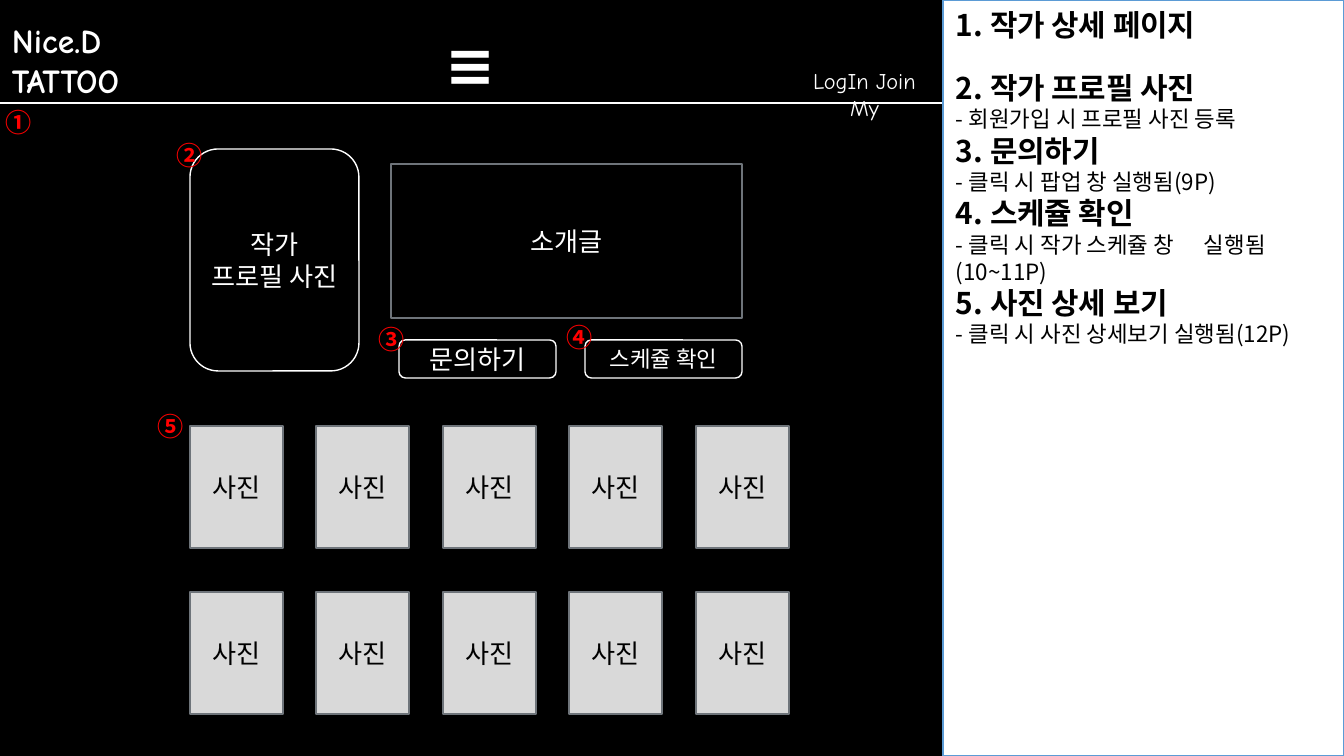
from dataclasses import dataclass
from lxml import etree
from pptx import Presentation
from pptx.dml.color import RGBColor
from pptx.enum.shapes import MSO_CONNECTOR, MSO_SHAPE
from pptx.enum.text import MSO_ANCHOR, PP_ALIGN
from pptx.oxml.ns import qn
from pptx.util import Emu, Pt

RECT, ROUND = MSO_SHAPE.RECTANGLE, MSO_SHAPE.ROUNDED_RECTANGLE
STRAIGHT = MSO_CONNECTOR.STRAIGHT
TOP, MIDDLE = MSO_ANCHOR.TOP, MSO_ANCHOR.MIDDLE
LEFT, CENTER = PP_ALIGN.LEFT, PP_ALIGN.CENTER
SCALE = 914400 / 134.4


@dataclass(frozen=True)
class Theme:
    black: str = "000000"
    white: str = "FFFFFF"
    red: str = "FF0000"
    photo: str = "D9D9D9"
    edge: str = "6E747A"
    frame: str = "5B9BD5"
    sans: str = "Noto Sans CJK KR"
    comic: str = "Comic Neue"
    small: int = 12
    base: int = 14
    head: int = 16
    brand: int = 18
    icon: int = 32
    lead: float = 1.2


T = Theme()
NOTES = [
    ("작가 상세 페이지", None),
    ("작가 프로필 사진", "회원가입 시 프로필 사진 등록"),
    ("문의하기", "클릭 시 팝업 창 실행됨(9P)"),
    ("스케쥴 확인", "클릭 시 작가 스케쥴 창\t실행됨(10~11P)"),
    ("사진 상세 보기", "클릭 시 사진 상세보기 실행됨(12P)"),
]


def px(n):
    return Emu(round(n * SCALE))


def rgb(color):
    return RGBColor.from_string(color)


def style(para, size=T.base, color=T.white, face=T.sans, bold=False,
          align=CENTER, before=0):
    para.alignment = align
    para.line_spacing = Pt(round(size * T.lead, 1))
    para.space_before = Pt(before)
    for run in para.runs:
        font = run.font
        font.size, font.bold, font.name = Pt(size), bold, face
        font.color.rgb = rgb(color)
        east = etree.Element(qn("a:ea"), typeface=face)
        font._element.find(qn("a:latin")).addnext(east)


def write(shape, text, anchor=TOP, inset=(13, 7), **form):
    """Fill a shape with one paragraph per line of text; inset is (x, y)."""
    frame = shape.text_frame
    frame.word_wrap = True
    frame.vertical_anchor = anchor
    frame.margin_left = frame.margin_right = px(inset[0])
    frame.margin_top = frame.margin_bottom = px(inset[1])
    frame.text = text
    for para in frame.paragraphs:
        style(para, **form)
    return frame


def label(slide, box, text, **form):
    return write(slide.shapes.add_textbox(*map(px, box)), text, **form)


def panel(slide, box, kind=RECT, fill=T.black, line=T.white, width=0.75):
    shape = slide.shapes.add_shape(kind, *map(px, box))
    shape.shadow.inherit = False
    shape.fill.solid()
    shape.fill.fore_color.rgb = rgb(fill)
    shape.line.color.rgb = rgb(line)
    shape.line.width = Pt(width)
    return shape


def mark(slide, x, y, sign):
    label(slide, (x, y, 40, 46), sign, color=T.red, bold=True, align=LEFT)


def header(slide, box):
    x, y, w, h = box
    label(slide, (x + 417, y + 27, 108, 55), "≡", inset=(13, 0),
          size=T.icon, face=T.comic, bold=True)
    label(slide, (x - 1, y + 15, 165, 79), "Nice.D\nTATTOO", inset=(13, 5),
          size=T.brand, face=T.comic, bold=True, align=LEFT)
    label(slide, (x + 790, y + 67, 149, 27), "LogIn Join\vMy", inset=(0, 0),
          size=T.small, face=T.comic)
    rule = slide.shapes.add_connector(
        STRAIGHT, px(x), px(y + h), px(x + w), px(y + h))
    rule.line.color.rgb = rgb(T.white)
    rule.line.width = Pt(0.75)
    etree.SubElement(rule._element.spPr, qn("a:effectLst"))
    mark(slide, x - 7, y + h - 4, "①")


def profile(slide, box):
    x, y, w, h = box
    card = panel(slide, (x, y, 169, h), ROUND)
    write(card, "작가\n프로필 사진", MIDDLE, (13, 13))
    intro = panel(slide, (x + 201, y + 15, w - 201, 154), line=T.edge)
    write(intro, "소개글", MIDDLE, (13, 13))
    for left, text, size in ((209, "문의하기", T.base),
                             (w - 157, "스케쥴 확인", T.small)):
        button = panel(slide, (x + left, y + 191, 157, 38), ROUND)
        write(button, text, MIDDLE, size=size)
    for left, top, sign in ((-26, -17, "②"), (176, 167, "③"), (364, 165, "④")):
        mark(slide, x + left, y + top, sign)


def gallery(slide, box, cols=5, rows=2):
    x, y, w, h = box
    wide, high = 93, 122
    for row in range(rows):
        for col in range(cols):
            left = x + (w - wide) * col // (cols - 1)
            top = y + (h - high) * row // (rows - 1)
            tile = panel(slide, (left, top, wide, high),
                         fill=T.photo, line=T.edge)
            write(tile, "사진", MIDDLE, (13, 13), color=T.black)
    mark(slide, x - 45, y - 23, "⑤")


def stop(para, at):
    tabs = etree.SubElement(para._p.get_or_add_pPr(), qn("a:tabLst"))
    etree.SubElement(tabs, qn("a:tab"), pos=str(px(at)), algn="l")


def notes(slide, box):
    side = panel(slide, box, fill=T.white, line=T.frame, width=1)
    lines, forms = [], []
    gap = 0
    for num, (head, note) in enumerate(NOTES, 1):
        lines.append(f"{num}. {head}")
        forms.append(dict(size=T.head, bold=True, before=gap))
        gap = 0 if note else T.small * T.lead
        if note:
            lines.append(f"- {note}")
            forms.append(dict(size=T.small))
    frame = side.text_frame
    write(side, "\n".join(lines))
    for para, text, form in zip(frame.paragraphs, lines, forms):
        para.text = text
        if "\t" in text:
            stop(para, 248)
        style(para, color=T.black, align=LEFT, **form)


def main():
    deck = Presentation()
    deck.slide_width, deck.slide_height = px(1344), px(756)
    slide = deck.slides.add_slide(deck.slide_layouts[6])
    slide.background.fill.solid()
    slide.background.fill.fore_color.rgb = rgb(T.black)
    header(slide, (0, 0, 943, 103))
    profile(slide, (190, 149, 552, 222))
    gallery(slide, (190, 426, 599, 288))
    notes(slide, (943, 0, 401, 756))
    deck.save("out.pptx")


if __name__ == "__main__":
    main()
